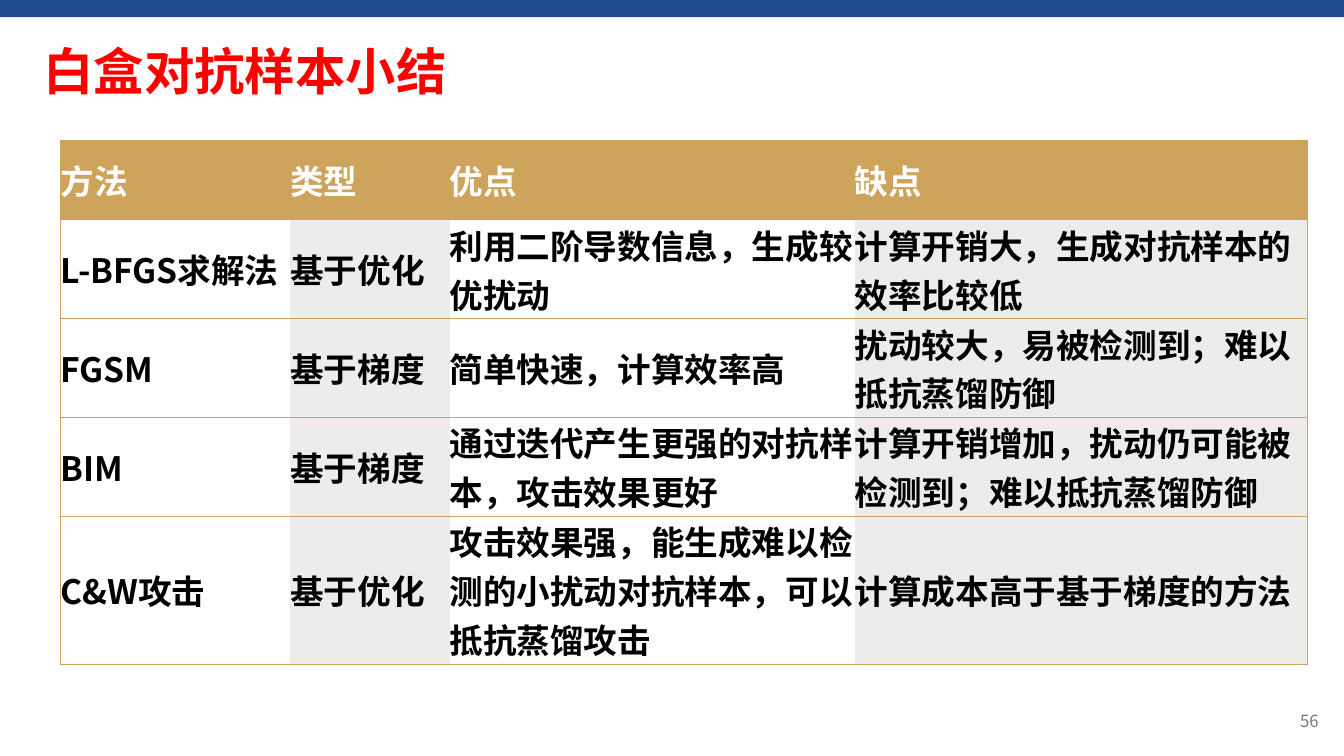
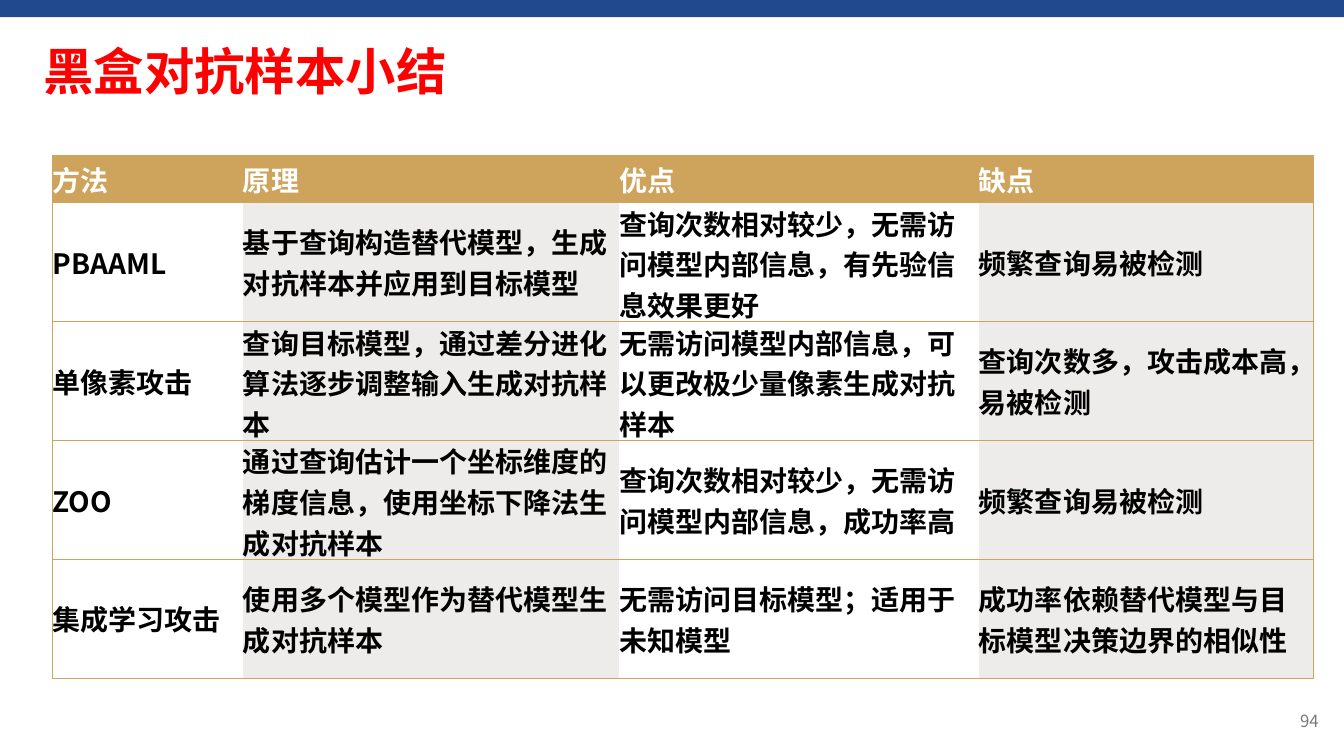
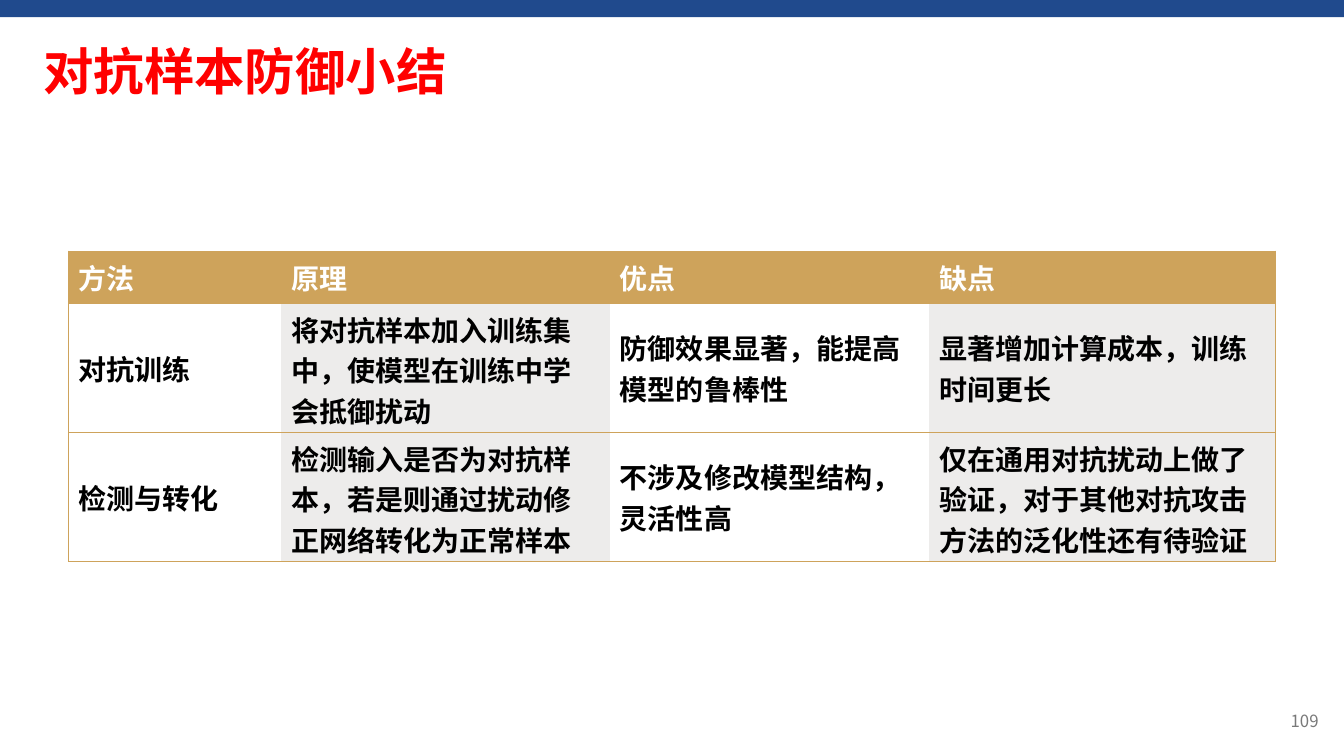
"""Build three summary slides on adversarial samples, each with one table."""
from dataclasses import dataclass

from lxml.etree import SubElement
from pptx import Presentation
from pptx.dml.color import RGBColor
from pptx.enum.shapes import MSO_SHAPE
from pptx.enum.text import MSO_ANCHOR, PP_ALIGN
from pptx.oxml import parse_xml
from pptx.oxml.ns import nsdecls, qn
from pptx.slide import Slide
from pptx.table import _Cell as Cell
from pptx.text.text import TextFrame
from pptx.util import Emu, Inches, Pt

WIDTH, HEIGHT = Inches(13.333), Inches(7.5)
FONT = "Noto Sans CJK SC"
NAVY, RED, GOLD, PALE = "05347F", "FF0000", "CEA35B", "EDECEB"
WHITE, BLACK, GREY = "FFFFFF", "000000", "797979"
PLAIN = "{2D5ABB26-0587-4C30-8999-92F81FD0307C}"


@dataclass(frozen=True)
class Box:
    """A place on the slide, in percent of its width and height."""
    left: float
    top: float
    width: float
    height: float

    def lengths(self) -> tuple[Emu, Emu, Emu, Emu]:
        return across(self.left), down(self.top), across(self.width), down(self.height)


@dataclass(frozen=True)
class Page:
    """A slide with its table; lengths are percent of the slide."""
    title: str
    number: int
    left: float
    top: float
    cols: tuple[float, ...]
    rows: tuple[float, ...]
    size: int
    inset: bool
    cells: tuple[tuple[str, ...], ...]


BAND = Box(0, 0, 100, 2.27)
TITLE = Box(2.48, 3.33, 87.45, 12)
NUMBER = Box(88.95, 92.67, 9.9, 5.33)

PAGES = (
    Page("白盒对抗样本小结", 56, 4.5, 18.53, (17.1, 11.85, 30.15, 33.65),
         (10.53, 13.07, 13.07, 13.07, 19.6), 24, False, (
             ("方法", "类型", "优点", "缺点"),
             ("L-BFGS求解法", "基于优化", "利用二阶导数信息，生成较优扰动",
              "计算开销大，生成对抗样本的效率比较低"),
             ("FGSM", "基于梯度", "简单快速，计算效率高",
              "扰动较大，易被检测到；难以抵抗蒸馏防御"),
             ("BIM", "基于梯度", "通过迭代产生更强的对抗样本，攻击效果更好",
              "计算开销增加，扰动仍可能被检测到；难以抵抗蒸馏防御"),
             ("C&W攻击", "基于优化",
              "攻击效果强，能生成难以检测的小扰动对抗样本，可以抵抗蒸馏攻击",
              "计算成本高于基于梯度的方法"))),
    Page("黑盒对抗样本小结", 94, 3.9, 20.53, (14.18, 27.98, 26.78, 24.9),
         (6.27, 15.73, 15.73, 15.73, 15.73), 20, False, (
             ("方法", "原理", "优点", "缺点"),
             ("PBAAML", "基于查询构造替代模型，生成对抗样本并应用到目标模型",
              "查询次数相对较少，无需访问模型内部信息，有先验信息效果更好",
              "频繁查询易被检测"),
             ("单像素攻击", "查询目标模型，通过差分进化算法逐步调整输入生成对抗样本",
              "无需访问模型内部信息，可以更改极少量像素生成对抗样本",
              "查询次数多，攻击成本高，易被检测"),
             ("ZOO", "通过查询估计一个坐标维度的梯度信息，使用坐标下降法生成对抗样本",
              "查询次数相对较少，无需访问模型内部信息，成功率高",
              "频繁查询易被检测"),
             ("集成学习攻击", "使用多个模型作为替代模型生成对抗样本",
              "无需访问目标模型；适用于未知模型",
              "成功率依赖替代模型与目标模型决策边界的相似性"))),
    Page("对抗样本防御小结", 109, 5.1, 33.2, (15.83, 24.45, 23.78, 25.73),
         (6.93, 17.07, 17.07), 20, True, (
             ("方法", "原理", "优点", "缺点"),
             ("对抗训练", "将对抗样本加入训练集中，使模型在训练中学会抵御扰动",
              "防御效果显著，能提高模型的鲁棒性",
              "显著增加计算成本，训练时间更长"),
             ("检测与转化", "检测输入是否为对抗样本，若是则通过扰动修正网络转化为正常样本",
              "不涉及修改模型结构，灵活性高",
              "仅在通用对抗扰动上做了验证，对于其他对抗攻击方法的泛化性还有待验证"))),
)


def across(share: float) -> Emu:
    return Emu(round(WIDTH * share / 100))


def down(share: float) -> Emu:
    return Emu(round(HEIGHT * share / 100))


def paint(fill, tint: str) -> None:
    fill.solid()
    fill.fore_color.rgb = RGBColor.from_string(tint)


def write(frame: TextFrame, text: str, *, size: int, tint: str,
          bold: bool = False, align: PP_ALIGN = PP_ALIGN.LEFT) -> None:
    line = frame.paragraphs[0]
    line.alignment = align
    run = line.add_run()
    run.text = text
    font = run.font
    font.size, font.bold, font.name = Pt(size), bold, FONT
    paint(font.fill, tint)
    props = run._r.get_or_add_rPr()
    props.set("lang", "zh-CN")
    SubElement(props, qn("a:ea")).set("typeface", FONT)


def label(slide: Slide, box: Box, text: str, **style) -> None:
    frame = slide.shapes.add_textbox(*box.lengths()).text_frame
    frame.word_wrap = True
    frame.vertical_anchor = MSO_ANCHOR.MIDDLE
    write(frame, text, **style)


def edge(cell: Cell, sides: str) -> None:
    props = cell._tc.get_or_add_tcPr()
    for spot, side in enumerate(sides):
        props.insert(spot, parse_xml(
            f'<a:ln{side} {nsdecls("a")} w="{Pt(0.75)}"><a:solidFill>'
            f'<a:srgbClr val="{GOLD}"/></a:solidFill></a:ln{side}>'))


def band(slide: Slide) -> None:
    bar = slide.shapes.add_shape(MSO_SHAPE.RECTANGLE, *BAND.lengths())
    bar.shadow.inherit = False
    bar.line.fill.background()
    paint(bar.fill, NAVY)
    tint = bar.fill._xPr.find(".//" + qn("a:srgbClr"))
    SubElement(tint, qn("a:alpha")).set("val", "89000")


def grid(slide: Slide, page: Page) -> None:
    box = Box(page.left, page.top, sum(page.cols), sum(page.rows))
    table = slide.shapes.add_table(
        len(page.rows), len(page.cols), *box.lengths()).table
    table.horz_banding = False
    table._tbl.tblPr.find(qn("a:tableStyleId")).text = PLAIN
    for col, share in zip(table.columns, page.cols):
        col.width = across(share)
    for row, share in zip(table.rows, page.rows):
        row.height = down(share)
    last = len(page.cols) - 1
    for y, texts in enumerate(page.cells):
        for x, text in enumerate(texts):
            cell = table.cell(y, x)
            cell.vertical_anchor = MSO_ANCHOR.MIDDLE
            if not page.inset:
                cell.margin_left = cell.margin_right = 0
                cell.margin_top = cell.margin_bottom = 0
            if y == 0:
                paint(cell.fill, GOLD)
            elif x % 2:
                paint(cell.fill, PALE)
            else:
                cell.fill.background()
            edge(cell, "L" * (x == 0) + "R" * (x == last) + "TB")
            write(cell.text_frame, text, size=page.size, bold=True,
                  tint=BLACK if y else WHITE)


def main() -> None:
    deck = Presentation()
    deck.slide_width, deck.slide_height = WIDTH, HEIGHT
    for page in PAGES:
        slide = deck.slides.add_slide(deck.slide_layouts[6])
        band(slide)
        label(slide, NUMBER, str(page.number), size=12, tint=GREY,
              align=PP_ALIGN.RIGHT)
        label(slide, TITLE, page.title, size=36, tint=RED, bold=True)
        grid(slide, page)
    deck.save("out.pptx")


if __name__ == "__main__":
    main()
